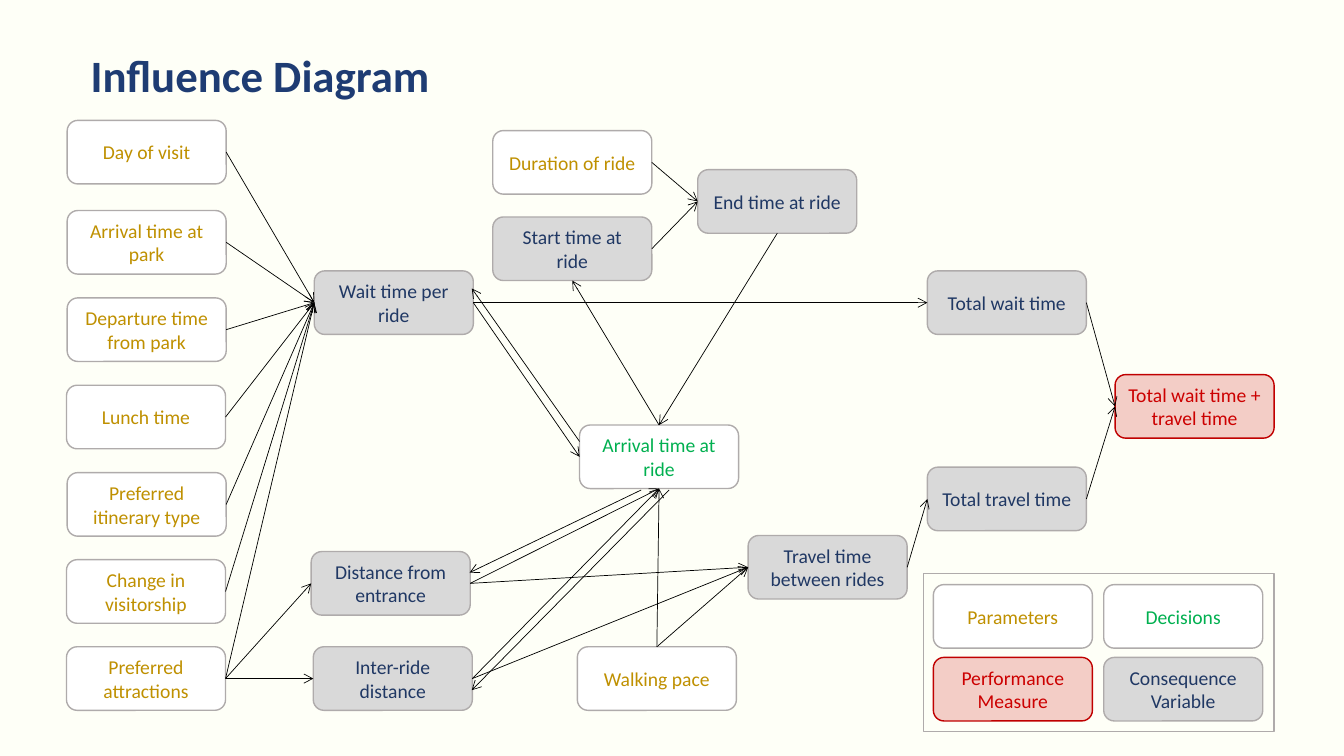
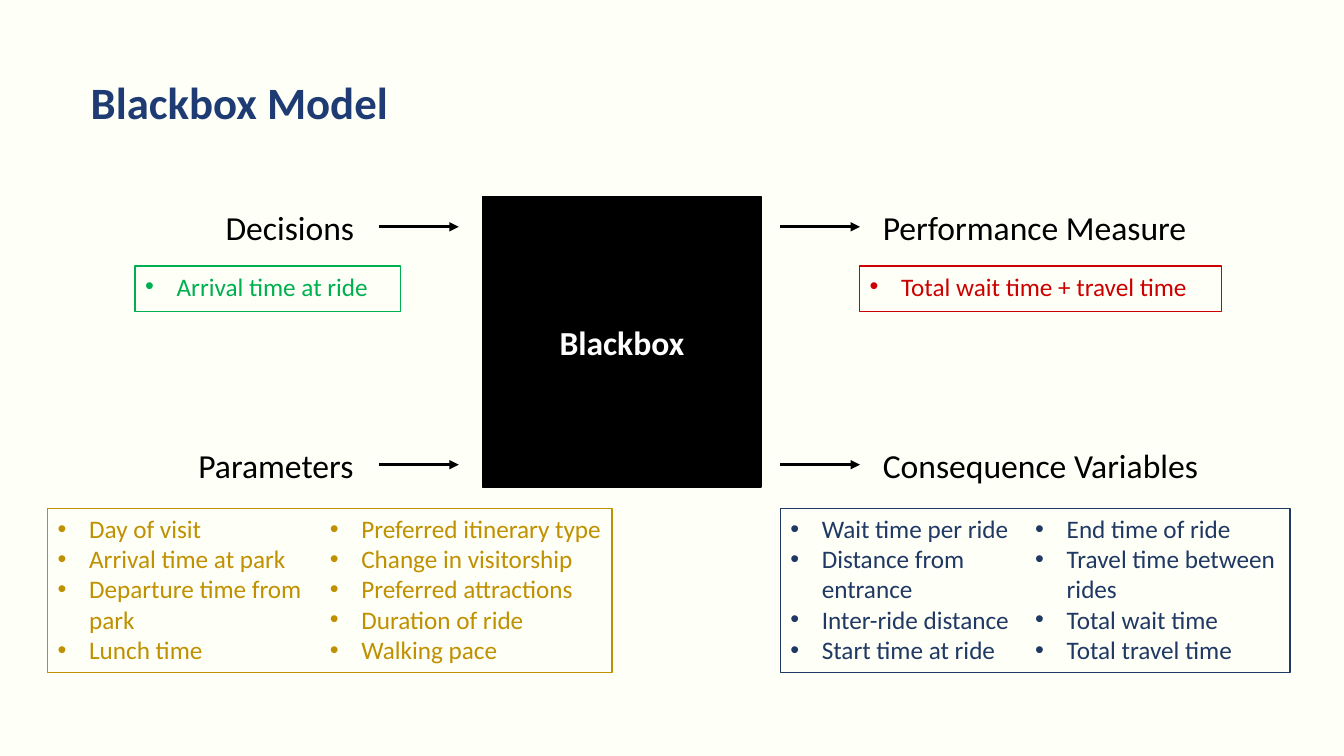
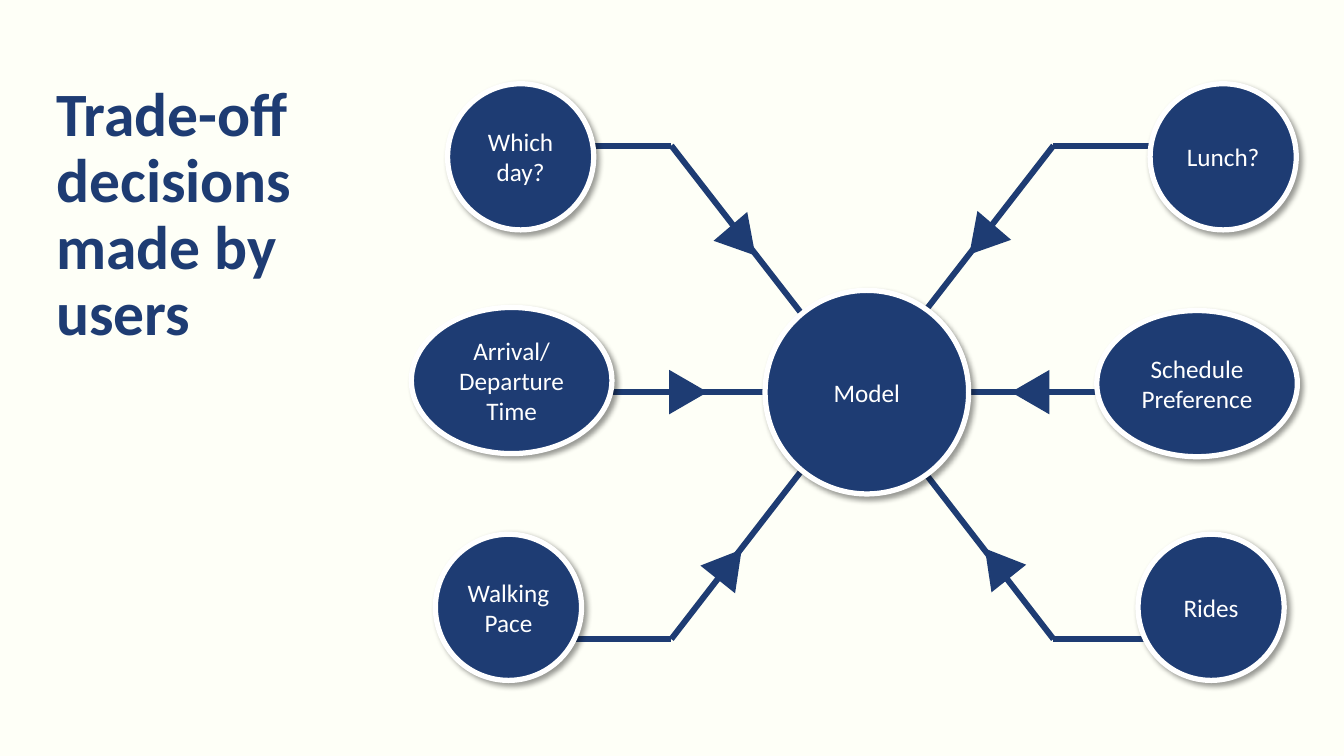
from lxml import etree
from pptx import Presentation
from pptx.dml.color import RGBColor
from pptx.enum import shapes, text
from pptx.oxml import ns
from pptx.util import Pt


class Theme:
    font = "Calibri"
    paper, navy, ink, white = "FEFFF7", "1E3C73", "000000", "FFFFFF"
    grey, gold, green, red, blue = "AFABAB", "BF9000", "00B050", "CC0000", "203864"
    title_size, big_title, heading, body, label = 32, 44, 24, 18, 14
    kinds = {
        "parameter": (white, grey, gold),
        "decision": (white, grey, green),
        "measure": ("F3CDC6", "C00000", red),
        "consequence": ("D9D9D9", grey, blue),
    }


TITLE_ONLY, COMPARISON = 5, 4
TOP, LEFT, BOTTOM, RIGHT = range(4)

NODE_SIZE = 113.6, 45.4
NODES = {
    "Day of visit": ("parameter", 48, 86),
    "Arrival time at park": ("parameter", 48, 150.4),
    "Departure time from park": ("parameter", 48, 212.8),
    "Lunch time": ("parameter", 47.5, 275.2),
    "Preferred itinerary type": ("parameter", 48, 337.6),
    "Change in visitorship": ("parameter", 47.5, 399.8),
    "Preferred attractions": ("parameter", 47.5, 462),
    "Wait time per ride": ("consequence", 224.5, 193.5),
    "Distance from entrance": ("consequence", 222.3, 394),
    "Inter-ride distance": ("consequence", 223.8, 462),
    "Duration of ride": ("parameter", 352, 93.3),
    "Start time at ride": ("consequence", 352, 155),
    "End time at ride": ("consequence", 498.4, 121.2),
    "Arrival time at ride": ("decision", 414, 303.6),
    "Walking pace": ("parameter", 412.4, 462),
    "Travel time between rides": ("consequence", 534.4, 382.5),
    "Total wait time": ("consequence", 662.4, 193.5),
    "Total travel time": ("consequence", 662.4, 333.7),
    "Total wait time + travel time": ("measure", 796.5, 267.6),
}
INFLUENCES = [(cause, "Wait time per ride") for cause in list(NODES)[:7]] + [
    ("Preferred attractions", "Distance from entrance"),
    ("Preferred attractions", "Inter-ride distance"),
    ("Duration of ride", "End time at ride"),
    ("Start time at ride", "End time at ride"),
    ("Wait time per ride", "Arrival time at ride"),
    ("Wait time per ride", "Total wait time"),
    ("Distance from entrance", "Travel time between rides"),
    ("Inter-ride distance", "Travel time between rides"),
    ("Travel time between rides", "Total travel time"),
    ("Total wait time", "Total wait time + travel time"),
    ("Total travel time", "Total wait time + travel time"),
    ("Arrival time at ride", "Start time at ride", TOP, BOTTOM),
    ("End time at ride", "Arrival time at ride", BOTTOM, TOP),
    ("Distance from entrance", "Arrival time at ride", RIGHT, BOTTOM),
    ("Inter-ride distance", "Arrival time at ride", RIGHT, BOTTOM),
    ("Walking pace", "Arrival time at ride", TOP, BOTTOM),
    ("Walking pace", "Travel time between rides", TOP, LEFT),
]
FEEDBACKS = [
    (414, 315.4, 337, 206),
    (458, 350, 335.5, 409),
    (478, 350, 337, 493),
]
LEGEND_FRAME = 659.5, 409.7, 250.6, 113
LEGEND = [
    ("Parameters", "parameter"), ("Decisions", "decision"),
    ("Performance Measure", "measure"), ("Consequence Variable", "consequence"),
]

BLACKBOX = 344.9, 140.4, 198.7, 207.4
ARROW_LEFTS, ARROW_TOPS, ARROW_LENGTH = (270.7, 557.3), (162, 331.9), 57
FACTORS = [
    ("Decisions", (154, 144, 107.3, 36), Theme.green, 1,
     (96.5, 189.9, 189.4, 32.6), ["Arrival time at ride"]),
    ("Parameters", (134.6, 313.9, 126.7, 36), Theme.gold, 2,
     (34, 363, 403.2, 117.4),
     ["Day of visit", "Arrival time at park", "Departure time from park",
      "Lunch time", "Preferred itinerary type", "Change in visitorship",
      "Preferred attractions", "Duration of ride", "Walking pace"]),
    ("Performance Measure", (623.5, 144, 233.3, 36), Theme.red, 1,
     (614, 189.9, 258.5, 32.6), ["Total wait time + travel time"]),
    ("Consequence Variables", (623.5, 313.9, 242, 36), Theme.blue, 2,
     (557.3, 363, 364.3, 117.4),
     ["Wait time per ride", "Distance from entrance", "Inter-ride distance",
      "Start time at ride", "End time of ride", "Travel time between rides",
      "Total wait time", "Total travel time"]),
]

HUB = 616, 280
ARM_ENDS = [(364, 479.5), (868, 752.5)]
ARM_LEVELS = 104, 456.5
AXIS = 407, 280, 843, 280
DECISIONS = [
    ("Model", 546.5, 207.4, 145.4, 145.4),
    ("Which day?", 319.7, 59.8, 104.4, 104.4),
    ("Arrival/ Departure Time", 293.8, 219.6, 143.3, 104.4),
    ("Walking Pace", 311, 381.6, 104.4, 104.4),
    ("Lunch?", 821.5, 59.8, 104.4, 104.4),
    ("Rides", 812.9, 381.6, 104.4, 104.4),
    ("Schedule Preference", 783.4, 221.8, 143.3, 104.4),
]
HEAD_SIZE = 31.7, 27.4
HEADS = [
    (514.8, 158.4, 139.4), (475.9, 266.4, 90), (720, 266.4, 270),
    (505.4, 389.5, 38.6), (696.2, 388.8, 321.4), (685.4, 157.7, 220.6),
]


def rgb(value):
    return RGBColor.from_string(value)


def assign(target, values):
    for key, value in values.items():
        setattr(target, key, value)


def add_xml(parent, tag, **attributes):
    return etree.SubElement(parent, ns.qn(tag), attributes)


def place(shape, left, top, width, height):
    assign(shape, dict(left=Pt(left), top=Pt(top), width=Pt(width), height=Pt(height)))


def write(paragraph, words, size, color, bold=False, **layout):
    run = paragraph.add_run()
    run.text = words
    assign(run.font, dict(name=Theme.font, size=Pt(size), bold=bold))
    run.font.color.rgb = rgb(color)
    assign(paragraph, layout)


def outline(shape, color, width=1):
    shape.line.color.rgb = rgb(color)
    shape.line.width = Pt(width)


def add_block(parent, preset, box, fill=None, line=None, line_width=1):
    block = parent.add_shape(preset, *map(Pt, box))
    block.shadow.inherit = False
    if fill:
        block.fill.solid()
        block.fill.fore_color.rgb = rgb(fill)
    else:
        block.fill.background()
    if line:
        outline(block, line, line_width)
    else:
        block.line.fill.background()
    return block


def caption(block, words, size, color, bold=False):
    frame = block.text_frame
    assign(frame, dict(word_wrap=True, vertical_anchor=text.MSO_ANCHOR.MIDDLE))
    write(frame.paragraphs[0], words, size, color, bold, alignment=text.PP_ALIGN.CENTER)


def add_line(slide, ends, color, width, head=None):
    line = slide.shapes.add_connector(shapes.MSO_CONNECTOR.STRAIGHT, *map(Pt, ends))
    outline(line, color, width)
    if head:
        add_xml(line.line._get_or_add_ln(), "a:tailEnd", type=head)
    add_xml(line._element.spPr, "a:effectLst")
    return line


def add_slide(deck, layout, words, box, size=Theme.title_size):
    slide = deck.slides.add_slide(deck.slide_layouts[layout])
    title = slide.shapes.title
    place(title, *box)
    assign(title.text_frame, dict(auto_size=text.MSO_AUTO_SIZE.NONE, word_wrap=True,
                                  vertical_anchor=text.MSO_ANCHOR.MIDDLE))
    write(title.text_frame.paragraphs[0], words, size, Theme.navy, True,
          alignment=text.PP_ALIGN.LEFT, line_spacing=0.9, space_before=Pt(10))
    return slide


def add_node(parent, words, kind, left, top):
    fill, line, color = Theme.kinds[kind]
    node = add_block(parent, shapes.MSO_SHAPE.ROUNDED_RECTANGLE,
                     (left, top, *NODE_SIZE), fill, line)
    caption(node, words, Theme.label, color)
    return node


def influence_slide(deck):
    slide = add_slide(deck, TITLE_ONLY, "Influence Diagram", (57.6, 13, 733, 85.7))
    nodes = {words: add_node(slide.shapes, words, *where) for words, where in NODES.items()}
    for cause, effect, *sides in INFLUENCES:
        leave, enter = sides or (RIGHT, LEFT)
        arrow = add_line(slide, (0, 0, 0, 0), Theme.ink, 0.5, "arrow")
        arrow.begin_connect(nodes[cause], leave)
        arrow.end_connect(nodes[effect], enter)
    for ends in FEEDBACKS:
        add_line(slide, ends, Theme.ink, 0.5, "arrow")
    legend = slide.shapes.add_group_shape().shapes
    add_block(legend, shapes.MSO_SHAPE.RECTANGLE, LEGEND_FRAME, line=Theme.grey)
    for i, (words, kind) in enumerate(LEGEND):
        row, column = divmod(i, 2)
        add_node(legend, words, kind, 666.7 + 121.7 * column, 417.6 + 52 * row)


def fill_list(body, box, items, color, columns):
    place(body, *box)
    outline(body, color)
    frame = body.text_frame
    assign(frame, dict(auto_size=text.MSO_AUTO_SIZE.NONE, word_wrap=True,
                       vertical_anchor=text.MSO_ANCHOR.TOP))
    frame._txBody.bodyPr.set("numCol", str(columns))
    for i, item in enumerate(items):
        paragraph = frame.add_paragraph() if i else frame.paragraphs[0]
        write(paragraph, item, Theme.body, color,
              alignment=text.PP_ALIGN.LEFT, space_before=Pt(0))
        properties = paragraph._p.get_or_add_pPr()
        properties.set("marL", str(Pt(22.5)))
        properties.set("indent", str(-Pt(22.5)))
        add_xml(properties, "a:buFont", typeface="Arial")
        add_xml(properties, "a:buChar", char="•")


def blackbox_slide(deck):
    slide = add_slide(deck, COMPARISON, "Blackbox Model", (57.6, 32.4, 733, 85.7))
    blackbox = add_block(slide.shapes, shapes.MSO_SHAPE.RECTANGLE, BLACKBOX,
                         Theme.ink, Theme.ink)
    caption(blackbox, "Blackbox", Theme.heading, Theme.white, True)
    for left in ARROW_LEFTS:
        for top in ARROW_TOPS:
            add_line(slide, (left, top, left + ARROW_LENGTH, top), Theme.ink, 2.25, "triangle")
    for i, (name, name_box, color, columns, box, items) in enumerate(FACTORS, 1):
        heading = slide.shapes.add_textbox(*map(Pt, name_box)).text_frame
        heading.word_wrap = False
        write(heading.paragraphs[0], name, Theme.heading, Theme.ink)
        fill_list(slide.placeholders[i], box, items, color, columns)


def cast_shadow(block):
    effects = block._element.spPr.find(ns.qn("a:effectLst"))
    shadow = add_xml(effects, "a:outerShdw", blurRad=str(Pt(4)), dist=str(Pt(3)),
                     dir="2700000", algn="tl", rotWithShape="0")
    color = add_xml(shadow, "a:srgbClr", val=Theme.ink)
    add_xml(color, "a:alpha", val="40000")


def tradeoff_slide(deck):
    slide = add_slide(deck, TITLE_ONLY, "Trade-off decisions made by users",
                      (33, 111.6, 201.6, 85.7), Theme.big_title)
    arms = [AXIS]
    for outer, elbow in ARM_ENDS:
        for level in ARM_LEVELS:
            arms += [(outer, level, elbow, level), (elbow, level, *HUB)]
    for ends in arms:
        add_line(slide, ends, Theme.navy, 4.25)
    for words, *box in DECISIONS:
        decision = add_block(slide.shapes, shapes.MSO_SHAPE.OVAL, box,
                             Theme.navy, Theme.white, 3.75)
        cast_shadow(decision)
        caption(decision, words, Theme.body, Theme.white)
    for left, top, angle in HEADS:
        head = add_block(slide.shapes, shapes.MSO_SHAPE.ISOSCELES_TRIANGLE,
                         (left, top, *HEAD_SIZE), Theme.navy)
        head.rotation = angle


def main():
    deck = Presentation()
    assign(deck, dict(slide_width=Pt(960), slide_height=Pt(540)))
    backdrop = deck.slide_master.background.fill
    backdrop.solid()
    backdrop.fore_color.rgb = rgb(Theme.paper)
    for build in (influence_slide, blackbox_slide, tradeoff_slide):
        build(deck)
    deck.save("out.pptx")


if __name__ == "__main__":
    main()
